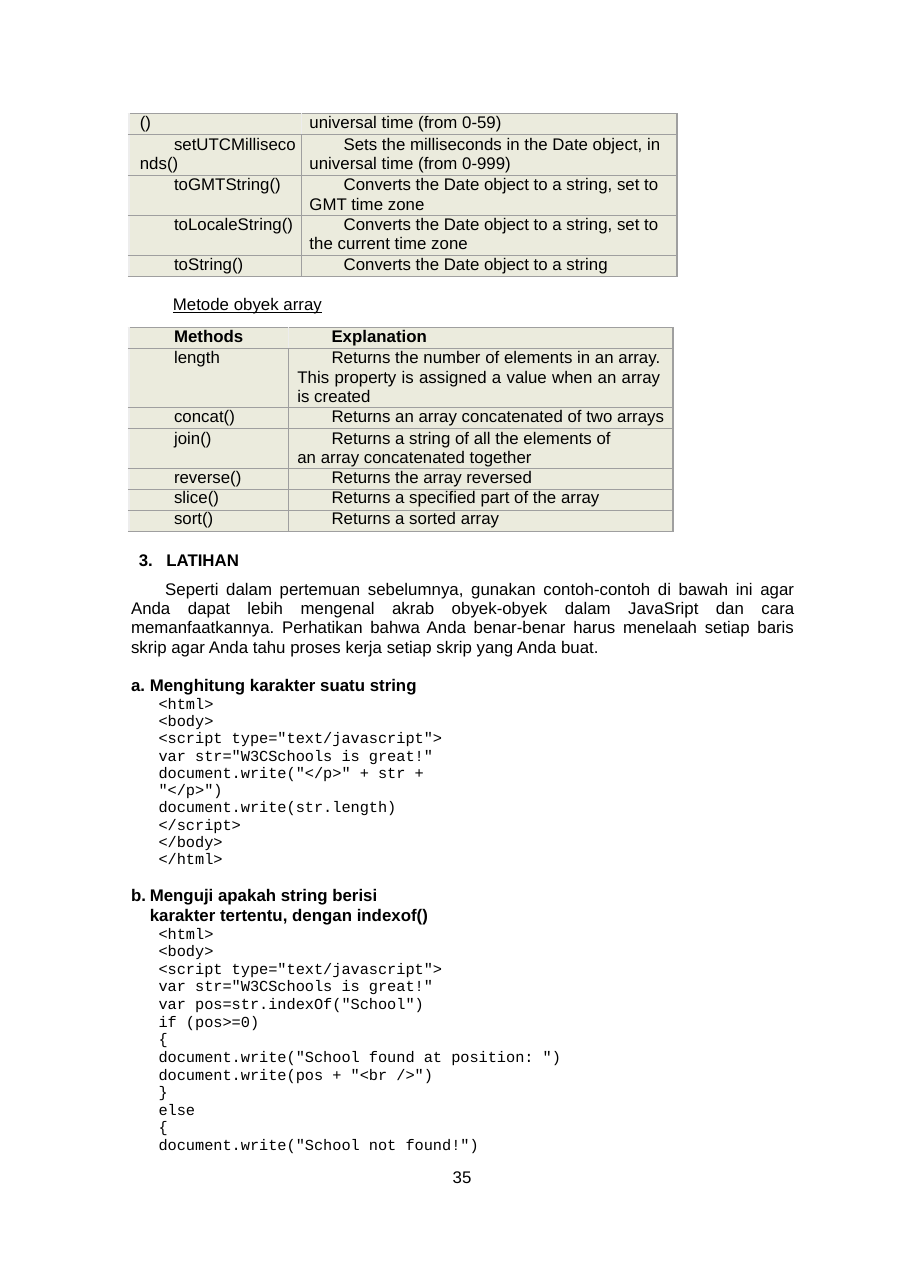
from lxml.etree import SubElement
from pptx import Presentation
from pptx.dml.color import RGBColor
from pptx.enum.text import MSO_ANCHOR, MSO_AUTO_SIZE, PP_ALIGN
from pptx.oxml.ns import qn
from pptx.util import Inches, Pt

DATE_METHODS = [
    ("()", "universal time (from 0-59)"),
    ("setUTCMilliseco nds()",
     "Sets the milliseconds in the Date object, in universal time (from 0-999)"),
    ("toGMTString()", "Converts the Date object to a string, set to GMT time zone"),
    ("toLocaleString()",
     "Converts the Date object to a string, set to the current time zone"),
    ("toString()", "Converts the Date object to a string"),
]
ARRAY_METHODS = [
    ("Methods", "Explanation"),
    ("length", "Returns the number of elements in an array. This property is "
               "assigned a value when an array is created"),
    ("concat()", "Returns an array concatenated of two arrays"),
    ("join()", "Returns a string of all the elements of\nan array concatenated together"),
    ("reverse()", "Returns the array reversed"),
    ("slice()", "Returns a specified part of the array"),
    ("sort()", "Returns a sorted array"),
]
INTRODUCTION = (
    "Seperti dalam pertemuan sebelumnya, gunakan contoh-contoh di bawah ini agar "
    "Anda dapat lebih mengenal akrab obyek-obyek dalam JavaSript dan cara "
    "memanfaatkannya. Perhatikan bahwa Anda benar-benar harus menelaah setiap baris "
    "skrip agar Anda tahu proses kerja setiap skrip yang Anda buat."
)
LENGTH_CODE = """<html>
<body>
<script type="text/javascript">
var str="W3CSchools is great!"
document.write("</p>" + str +
"</p>")
document.write(str.length)
</script>
</body>
</html>"""
SEARCH_CODE = """<html>
<body>
<script type="text/javascript">
var str="W3CSchools is great!"
var pos=str.indexOf("School")
if (pos>=0)
{
document.write("School found at position: ")
document.write(pos + "<br />")
}
else
{
document.write("School not found!")"""


def colour(value):
    return RGBColor.from_string(value)


class HandoutPage:
    ink, cell_fill, rule, pale_rule = "000000", "EBEBDD", "9F9F9F", "EDEDED"
    text_font, code_font = "Arial", "Courier New"
    text_size, code_size = 11, 10

    def __init__(self, deck):
        self.slide = deck.slides.add_slide(deck.slide_layouts[1])

    def place(self, box, left, top, width, height, inset_top=0.0):
        box.left, box.top = Inches(left), Inches(top)
        box.width, box.height = Inches(width), Inches(height)
        frame = box.text_frame
        frame.word_wrap = True
        frame.auto_size = MSO_AUTO_SIZE.NONE
        frame.vertical_anchor = MSO_ANCHOR.TOP
        frame.margin_left = frame.margin_right = frame.margin_bottom = 0
        frame.margin_top = Inches(inset_top)
        return frame

    def paragraph(self, frame, text, left=0.0, first=0.0, spacing=1.0, before=0,
                  align=PP_ALIGN.LEFT, numbering=None, start=1, bold=False,
                  underline=False, code=False):
        """Fill the empty first paragraph, or append one; newlines become breaks."""
        para = frame.paragraphs[0]
        if para.runs:
            para = frame.add_paragraph()
        properties = para._p.get_or_add_pPr()
        properties.set("marL", str(Inches(left)))
        properties.set("indent", str(Inches(first)))
        if numbering:
            SubElement(properties, qn("a:buAutoNum"), type=numbering, startAt=str(start))
        else:
            SubElement(properties, qn("a:buNone"))
        para.alignment = align
        para.line_spacing = spacing
        para.space_before, para.space_after = Pt(before), Pt(0)
        for number, line in enumerate(text.split("\n")):
            if number:
                para.add_line_break()
            span = para.add_run()
            span.text = line
            span.font.name = self.code_font if code else self.text_font
            span.font.size = Pt(self.code_size if code else self.text_size)
            span.font.color.rgb = colour(self.ink)
            span.font.bold, span.font.underline = bold, underline

    def code(self, frame, listing, spacing):
        for line in listing.split("\n"):
            self.paragraph(frame, line, left=0.26, spacing=Pt(spacing), code=True)

    def exercise(self, frame, heading, start, before):
        self.paragraph(frame, heading, left=0.18, first=-0.17, spacing=Pt(13),
                       before=before, numbering="alphaLcPeriod", start=start, bold=True)

    def border(self, cell, side, value, width):
        line = SubElement(cell._tc.get_or_add_tcPr(), qn("a:" + side), w=str(Pt(width)))
        fill = SubElement(line, qn("a:solidFill"))
        SubElement(fill, qn("a:srgbClr"), val=value)

    def cell(self, cell, is_first_row, is_left):
        """Fill and rule one cell; the top row has a pale inner rule."""
        inner = self.pale_rule if is_first_row else self.rule
        if is_left:
            self.border(cell, "lnL", self.pale_rule, 1.5)
            self.border(cell, "lnR", inner, 0.25)
        else:
            self.border(cell, "lnL", inner, 0.25)
            self.border(cell, "lnR", self.rule, 1.5)
        for side in ("lnT", "lnB"):
            self.border(cell, side, self.rule, 0.25)
        cell.fill.solid()
        cell.fill.fore_color.rgb = colour(self.cell_fill)
        cell.margin_left = cell.margin_right = cell.margin_top = cell.margin_bottom = 0

    def method_table(self, top, widths, heights, rows, has_header=False, justified=()):
        frame = self.slide.shapes.add_table(len(rows), 2, Inches(1.17), Inches(top),
                                            Inches(sum(widths)), Inches(sum(heights)))
        table = frame.table
        table.first_row = table.horz_banding = False
        for column, width in zip(table.columns, widths):
            column.width = Inches(width)
        for row, texts in enumerate(rows):
            table.rows[row].height = Inches(heights[row])
            is_single = heights[row] < 0.3
            is_continued = row == 0 and not has_header
            for column, text in enumerate(texts):
                cell = table.cell(row, column)
                self.cell(cell, row == 0, column == 0)
                is_justified = column == 1 and row in justified
                if is_justified:
                    cell.margin_right = Inches(0.11)
                self.paragraph(
                    cell.text_frame, text, left=(0.1, 0.08)[column],
                    first=0 if is_continued else 0.31,
                    spacing=Pt(12 if is_single else 12.6),
                    align=PP_ALIGN.JUSTIFY if is_justified else PP_ALIGN.LEFT,
                    bold=has_header and row == 0)


def main():
    deck = Presentation()
    deck.slide_width, deck.slide_height = Inches(8.28), Inches(11.69)
    page = HandoutPage(deck)
    shapes = page.slide.shapes

    page.method_table(1.03, (1.56, 3.42), (0.19, 0.37, 0.36, 0.37, 0.19), DATE_METHODS)
    title = page.place(shapes.title, 1.56, 2.66, 1.6, 0.21, 0.01)
    page.paragraph(title, "Metode obyek array", left=0.01, underline=True)
    page.method_table(2.97, (1.45, 3.49), (0.19, 0.54, 0.19, 0.36, 0.19, 0.19, 0.19),
                      ARRAY_METHODS, has_header=True, justified=(1,))

    body = page.place(page.slide.placeholders[1], 1.18, 4.9, 6.04, 5.66, 0.09)
    page.paragraph(body, "LATIHAN", left=0.33, first=-0.25,
                   numbering="arabicPeriod", start=3, bold=True)
    page.paragraph(body, INTRODUCTION, left=0.01, first=0.31, spacing=0.96, before=6.3,
                   align=PP_ALIGN.JUSTIFY)
    page.exercise(body, "Menghitung karakter suatu string", 1, 11.6)
    page.code(body, LENGTH_CODE, 11.3)
    page.exercise(body, "Menguji apakah string berisi\nkarakter tertentu, dengan indexof()",
                  2, 11)
    page.code(body, SEARCH_CODE, 11.5)

    number = page.place(shapes.add_textbox(0, 0, 0, 0), 4.07, 10.59, 0.27, 0.2)
    page.paragraph(number, "35", left=0.04, spacing=Pt(13.2))
    deck.save("out.pptx")


if __name__ == "__main__":
    main()
